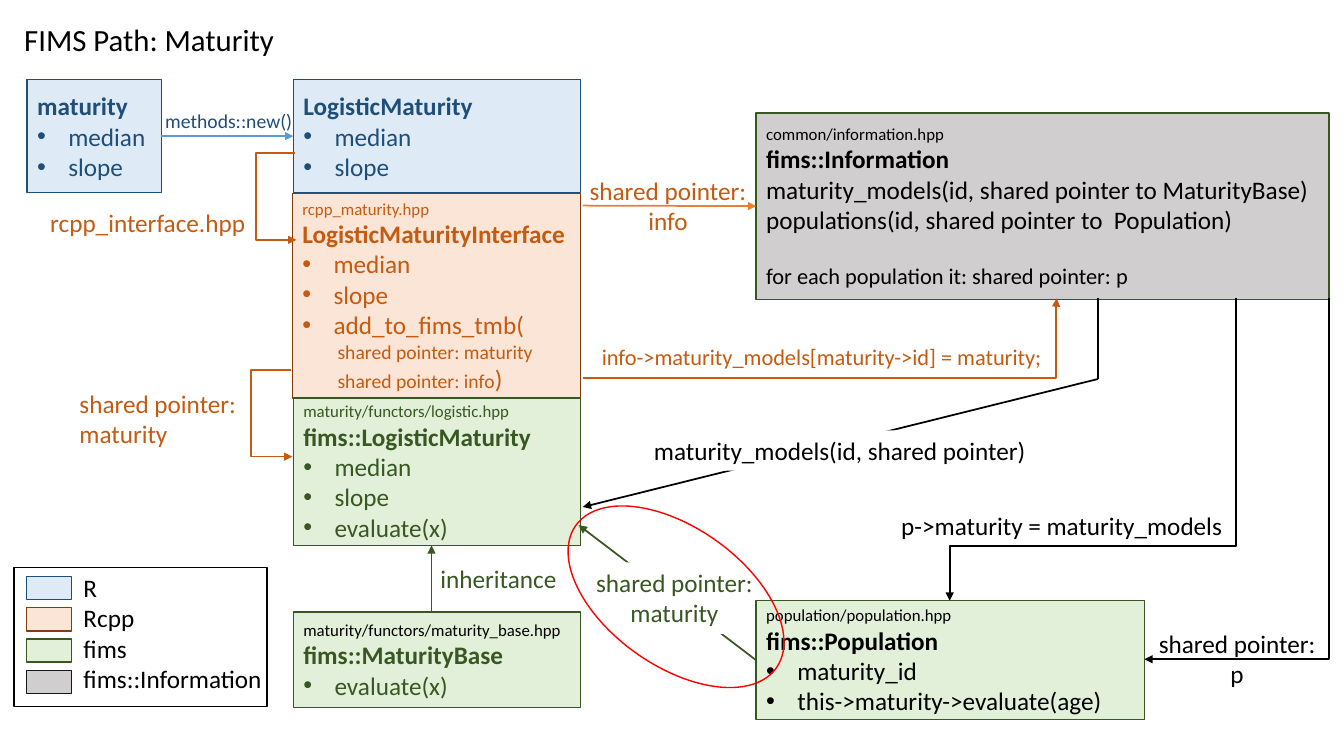
import pptx
import pptx.util
import pptx.dml.color
import pptx.enum.shapes
import pptx.enum.text
import pptx.oxml
import pptx.oxml.ns
from pptx.util import Inches

COLOURS = {
    "black": "000000", "white": "FFFFFF", "red": "FF0000",
    "r_fill": "DEEBF7", "r_dark": "1F4E79", "r_arrow": "5B9BD5",
    "rcpp_fill": "FBE5D6", "rcpp_dark": "843C0B", "rcpp_text": "C55A11", "rcpp_arrow": "ED7D31",
    "fims_fill": "E2F0D9", "fims_dark": "385723",
    "information_fill": "D0CECE", "information_dark": "181717",
}
RGB = {name: pptx.dml.color.RGBColor.from_string(value) for name, value in COLOURS.items()}
SHAPES = pptx.enum.shapes.MSO_SHAPE
CONNECTORS = pptx.enum.shapes.MSO_CONNECTOR
ALIGN = pptx.enum.text.PP_ALIGN
ANCHOR = pptx.enum.text.MSO_ANCHOR
qn = pptx.oxml.ns.qn

presentation = pptx.Presentation()
presentation.slide_width = Inches(13.33)
presentation.slide_height = Inches(7.5)
slide = presentation.slides.add_slide(presentation.slide_layouts[5])


def add_shape(kind, place, fill, line):
    shape = slide.shapes.add_shape(kind, *map(Inches, place))
    shape.shadow.inherit = False
    if fill:
        shape.fill.solid()
        shape.fill.fore_color.rgb = RGB[fill]
    else:
        shape.fill.background()
    shape.line.color.rgb = RGB[line]
    shape.line.width = pptx.util.Pt(1)
    return shape


def add_line(begin, end, colour, arrow=None, preset=None, bend=None, turned=False):
    if turned:
        middle_x, middle_y = (begin[0] + end[0]) / 2, (begin[1] + end[1]) / 2
        begin, end = [(middle_x + y - middle_y, middle_y - x + middle_x) for x, y in (begin, end)]
    kind = CONNECTORS.ELBOW if preset else CONNECTORS.STRAIGHT
    connector = slide.shapes.add_connector(kind, *map(Inches, begin + end))
    connector.line.color.rgb = RGB[colour]
    connector.line.width = pptx.util.Pt(1.25)
    properties = connector.element.spPr
    if turned:
        properties.find(qn("a:xfrm")).set("rot", "5400000")
    if preset:
        geometry = properties.find(qn("a:prstGeom"))
        geometry.set("prst", preset)
        if bend is not None:
            guide = pptx.oxml.parse_xml(
                f'<a:gd {pptx.oxml.ns.nsdecls("a")} name="adj1" fmla="val {round(bend * 100000)}"/>')
            geometry.find(qn("a:avLst")).append(guide)
    if arrow:
        connector.get_or_add_ln().append(
            pptx.oxml.parse_xml(f'<a:{arrow} {pptx.oxml.ns.nsdecls("a")} type="triangle"/>'))
    properties.append(pptx.oxml.parse_xml(f'<a:effectLst {pptx.oxml.ns.nsdecls("a")}/>'))
    return connector


title = slide.shapes.title
title.left, title.top, title.width, title.height = map(Inches, (0.14, 0.16, 4, 0.47))
title.text_frame.text = "FIMS Path: Maturity"
title.text_frame.auto_size = pptx.enum.text.MSO_AUTO_SIZE.NONE
title.text_frame.vertical_anchor = ANCHOR.TOP
title.text_frame.paragraphs[0].alignment = ALIGN.LEFT
title_font = title.text_frame.paragraphs[0].runs[0].font
title_font.name = "Calibri"
title_font.size = pptx.util.Pt(22)
title_font.color.rgb = RGB["black"]

SIZES = {"file": 12, "black file": 12, "note": 16, "argument": 14}
FIELDS = [("item", "median"), ("item", "slope")]
box_rows = [
    ("R class", (2.91, 0.79, 2.85, 1.12), "r_fill", "r_dark", "r_dark",
     [("name", "LogisticMaturity")] + FIELDS),
    ("Interface", (2.9, 1.92, 2.86, 2.03), "rcpp_fill", "rcpp_dark", "rcpp_text",
     [("file", "rcpp_maturity.hpp"), ("name", "LogisticMaturityInterface")] + FIELDS
     + [("item", "add_to_fims_tmb("), ("argument", "shared pointer: maturity"),
        ("argument", "shared pointer: info")]),
    ("Logistic", (2.91, 3.95, 2.85, 1.46), "fims_fill", "fims_dark", "fims_dark",
     [("file", "maturity/functors/logistic.hpp"), ("name", "fims::LogisticMaturity")] + FIELDS
     + [("item", "evaluate(x)")]),
    ("Base", (2.91, 6.07, 2.85, 0.95), "fims_fill", "fims_dark", "fims_dark",
     [("black file", "maturity/functors/maturity_base.hpp"), ("name", "fims::MaturityBase"),
      ("item", "evaluate(x)")]),
    ("Information", (7.5, 1.12, 5.68, 1.85), "information_fill", "fims_dark", "black",
     [("file", "common/information.hpp"), ("name", "fims::Information"),
      ("text", "maturity_models(id, shared pointer to MaturityBase)"),
      ("text", "populations(id, shared pointer to  Population)"),
      ("note", "for each population it: shared pointer: p")]),
    ("Population", (7.5, 5.96, 3.85, 1.18), "fims_fill", "fims_dark", "black",
     [("file", "population/population.hpp"), ("name", "fims::Population"),
      ("item", "maturity_id"), ("item", "this->maturity->evaluate(age)")]),
    ("Maturity", (0.27, 0.79, 1.33, 1.12), "r_fill", "r_dark", "r_dark",
     [("name", "maturity")] + FIELDS),
]
boxes = {}
for box_name, place, fill, line, colour, rows in box_rows:
    box = boxes[box_name] = add_shape(SHAPES.RECTANGLE, place, fill, line)
    frame = box.text_frame
    frame.word_wrap = True
    frame.vertical_anchor = ANCHOR.MIDDLE
    frame.text = "\n".join(text for kind, text in rows)
    for paragraph, (kind, text) in zip(frame.paragraphs, rows):
        paragraph.alignment = ALIGN.LEFT
        if kind == "argument":
            paragraph._p.get_or_add_pPr().set("marL", str(Inches(0.35)))
        if kind == "note":
            paragraph.space_before = pptx.util.Pt(19.5)
        if kind == "item":
            bullet = paragraph._p.get_or_add_pPr()
            bullet.set("marL", str(Inches(0.31)))
            bullet.set("indent", str(Inches(-0.31)))
            for tag in ('buFont {} typeface="Arial"', 'buChar {} char="•"'):
                bullet.append(pptx.oxml.parse_xml(f'<a:{tag.format(pptx.oxml.ns.nsdecls("a"))}/>'))
        if text == "shared pointer: info":
            paragraph.add_run().text = ")"
        for run in paragraph.runs:
            run.font.name = "Calibri"
            run.font.size = pptx.util.Pt(18 if run.text == ")" else SIZES.get(kind, 18))
            run.font.bold = kind == "name"
            run.font.color.rgb = RGB["black" if kind == "black file" else colour]

add_line((2.93, 1.52), (2.94, 2.38), "rcpp_text", "tailEnd", "bentConnector3", -40)
add_line((2.89, 3.67), (2.9, 4.53), "rcpp_text", "tailEnd", "bentConnector3", -41)
add_line((5.78, 3.75), (10.48, 2.96), "rcpp_text", "tailEnd", "bentConnector3", 0.999)
add_line((13.18, 2.96), (11.35, 6.54), "black", "tailEnd", "bentConnector2", turned=True)
add_line((9.42, 5.96), (12.26, 2.96), "black", "headEnd", "bentConnector3", 0.18, turned=True)
add_line((10.89, 3.76), (10.89, 2.96), "black")
add_line((5.78, 5.03), (10.89, 3.76), "black", "headEnd")
add_line((4.28, 5.41), (4.28, 6.07), "fims_dark", "headEnd")
population_line = add_line((5.74, 5.21), (7.5, 6.54), "fims_dark", "headEnd")
population_line.end_connect(boxes["Population"], 1)
information_line = add_line((5.78, 2.04), (7.5, 2.04), "rcpp_arrow", "tailEnd")
information_line.end_connect(boxes["Information"], 1)
methods_line = add_line((1.6, 1.35), (2.91, 1.35), "r_arrow", "tailEnd")
methods_line.begin_connect(boxes["Maturity"], 3)
methods_line.end_connect(boxes["R class"], 1)

add_shape(SHAPES.RECTANGLE, (0.14, 5.63, 2.51, 1.38), "white", "black")
legend = [("r_fill", "r_dark"), ("rcpp_fill", "rcpp_dark"), ("fims_fill", "fims_dark"),
          ("information_fill", "information_dark")]
for index, (fill, line) in enumerate(legend):
    add_shape(SHAPES.RECTANGLE, (0.26, 5.72 + 0.31 * index, 0.45, 0.23), fill, line)

labels = [
    ("rcpp_interface.hpp", (0.4, 2.01, 2.4, 0.4), 18, "rcpp_text", ALIGN.LEFT, None),
    ("inheritance", (4.27, 5.54, 1.68, 0.4), 18, "fims_dark", ALIGN.LEFT, None),
    ("shared pointer: maturity", (5.81, 5.58, 1.76, 0.71), 18, "fims_dark", ALIGN.CENTER, "white"),
    ("shared pointer:\ninfo", (5.56, 1.69, 2.13, 0.71), 18, "rcpp_text", ALIGN.CENTER, None),
    ("shared pointer:\np", (11.35, 6.18, 1.84, 0.71), 18, "black", ALIGN.CENTER, None),
    ("p->maturity = maturity_models", (8.84, 5.01, 3.42, 0.4), 18, "black", ALIGN.LEFT, None),
    ("R\nRcpp\nfims\nfims::Information", (0.73, 5.63, 2.06, 1.31), 18, "black", ALIGN.LEFT, None),
    ("maturity_models(id, shared pointer)", (6.31, 4.27, 4.04, 0.4), 18, "black",
     ALIGN.CENTER, "white"),
    ("methods::new()", (1.54, 1.03, 1.58, 0.34), 14, "r_dark", ALIGN.LEFT, None),
    ("shared pointer: maturity", (0.69, 3.8, 1.96, 0.71), 18, "rcpp_text", ALIGN.LEFT, None),
    ("info->maturity_models[maturity->id] = maturity;", (5.87, 3.36, 4.59, 0.37), 16,
     "rcpp_text", ALIGN.LEFT, None),
]
for text, place, size, colour, alignment, fill in labels:
    label = slide.shapes.add_textbox(*map(Inches, place))
    if fill:
        label.fill.solid()
        label.fill.fore_color.rgb = RGB[fill]
    label.text_frame.word_wrap = True
    label.text_frame.text = text
    for paragraph in label.text_frame.paragraphs:
        paragraph.alignment = alignment
        font = paragraph.runs[0].font
        font.name = "Calibri"
        font.size = pptx.util.Pt(size)
        font.color.rgb = RGB[colour]

slide.shapes.element.append(boxes["Population"].element)
highlight = add_shape(SHAPES.OVAL, (6.02, 4.7, 1.37, 2.44), None, "red")
highlight.rotation = 305.4

presentation.save("out.pptx")
